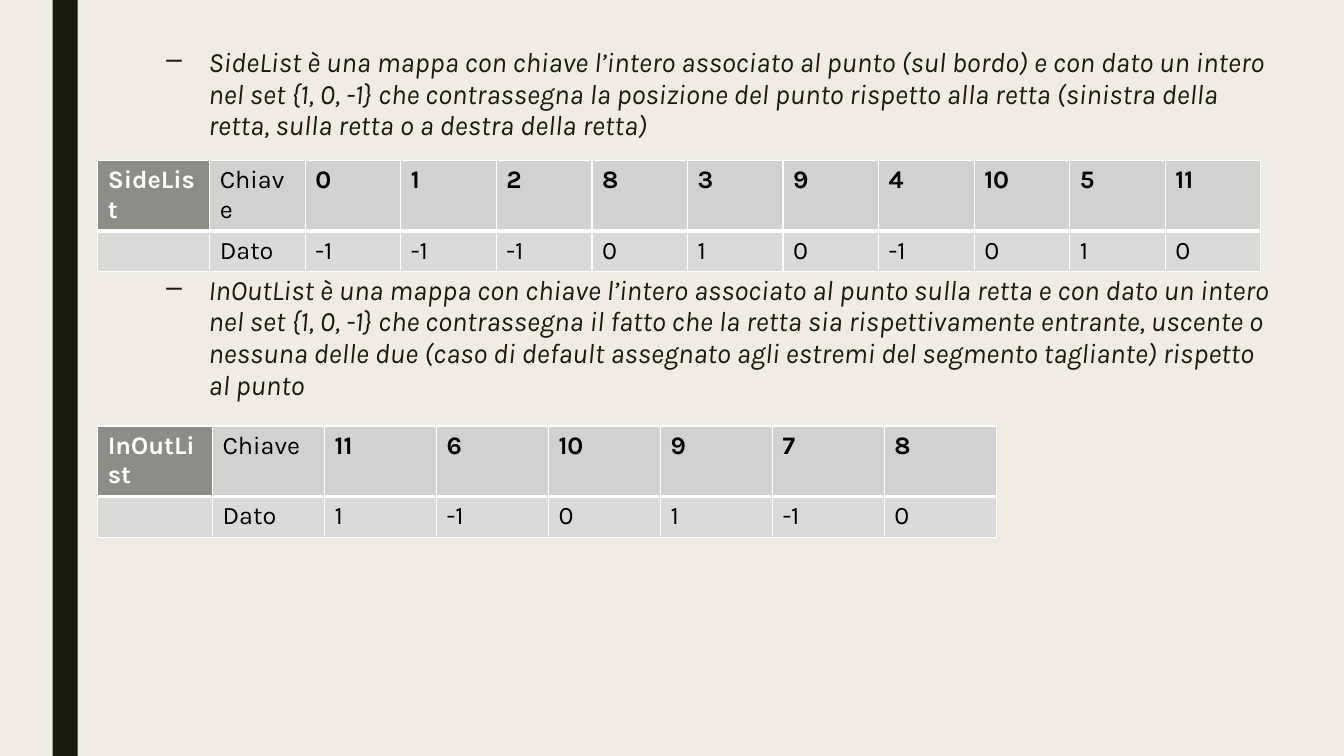
import pptx
import pptx.util
import pptx.dml.color
import pptx.enum.shapes
import pptx.oxml
import pptx.oxml.ns

Pt = pptx.util.Pt
RGB = pptx.dml.color.RGBColor
qn = pptx.oxml.ns.qn

NOTES = [
    ("SideList è una mappa con chiave l’intero associato al punto (sul bordo) e con dato "
     "un intero nel set {1, 0, -1} che contrassegna la posizione del punto rispetto alla "
     "retta (sinistra della retta, sulla retta o a destra della retta)", 5),
    ("InOutList è una mappa con chiave l’intero associato al punto sulla retta e con dato "
     "un intero nel set {1, 0, -1} che contrassegna il fatto che la retta sia rispettivamente "
     "entrante, uscente o nessuna delle due (caso di default assegnato agli estremi del "
     "segmento tagliante) rispetto al punto", 93),
]
TABLES = [
    {"name": "SideList", "top": 114.5, "first": 80, "rest": 68.27,
     "data": [(0, -1), (1, -1), (2, -1), (8, 0), (3, 1), (9, 0), (4, -1), (10, 0), (5, 1), (11, 0)]},
    {"name": "InOutList", "top": 304.3, "first": 82, "rest": 80,
     "data": [(11, 1), (6, -1), (10, 0), (9, 1), (7, -1), (8, 0)]},
]
PAPER = RGB(0xEF, 0xED, 0xE3)
INK = RGB(0x19, 0x1B, 0x0E)
WHITE = RGB(0xFF, 0xFF, 0xFF)
BLACK = RGB(0, 0, 0)
GREY = RGB(0x8C, 0x8D, 0x86)
HEAD = RGB(0xD1, 0xD1, 0xCF)
BODY = RGB(0xDA, 0xDB, 0xD9)
LEFT, ROW = 69.8, 29.2


def style(font, color, **attrs):
    for key, value in {"name": "Karla", **attrs}.items():
        setattr(font, key, value)
    font.color.rgb = color


def edge(cell, sides):
    props = cell._tc.get_or_add_tcPr()
    for spot, (side, width) in enumerate(sides.items()):
        line = pptx.oxml.parse_xml(
            f'<a:ln{side} xmlns:a="http://schemas.openxmlformats.org/drawingml/2006/main" '
            f'w="{Pt(width)}"><a:solidFill><a:srgbClr val="{WHITE}"/></a:solidFill></a:ln{side}>')
        props.insert(spot, line)


def add_notes(slide):
    box = slide.shapes.add_textbox(Pt(LEFT), Pt(30.2), Pt(846.7), Pt(480))
    frame = box.text_frame
    frame.word_wrap = True
    for i, (text, gap) in enumerate(NOTES):
        para = frame.add_paragraph() if i else frame.paragraphs[0]
        run = para.add_run()
        run.text = text
        style(run.font, INK, size=Pt(20), italic=True)
        form = {"line_spacing": 0.94, "space_before": Pt(gap), "space_after": Pt(2)}
        for key, value in form.items():
            setattr(para, key, value)
        props = para._p.get_or_add_pPr()
        props.set("marL", str(Pt(72)))
        props.set("indent", str(Pt(-30)))
        mark = props.makeelement(qn("a:buChar"), {"char": "–"})
        props.append(mark)


def add_map(slide, name, top, first, rest, data):
    keys, values = zip(*data)
    rows = [(name, "Chiave", *keys), ("", "Dato", *values)]
    wides = [first] + [rest] * (len(data) + 1)
    frame = slide.shapes.add_table(2, len(wides), Pt(LEFT), Pt(top), Pt(sum(wides)), Pt(2 * ROW))
    table = frame.table
    for col, wide in zip(table.columns, wides):
        col.width = Pt(wide)
    for r, row in enumerate(rows):
        table.rows[r].height = Pt(ROW)
        for c, value in enumerate(row):
            cell = table.cell(r, c)
            title = r == 0 and c == 0
            cell.fill.solid()
            cell.fill.fore_color.rgb = GREY if title else BODY if r else HEAD
            edge(cell, {"L": 1, "R": 1, "T": 3 if r else 1, "B": 1 if r else 3})
            if value != "":
                run = cell.text_frame.paragraphs[0].add_run()
                run.text = str(value)
                style(run.font, WHITE if title else BLACK, size=Pt(18), bold=r == 0 and c != 1)


def main():
    deck = pptx.Presentation()
    deck.slide_width, deck.slide_height = Pt(960), Pt(540)
    slide = deck.slides.add_slide(deck.slide_layouts[6])
    slide.background.fill.solid()
    slide.background.fill.fore_color.rgb = PAPER
    kind = pptx.enum.shapes.MSO_SHAPE.RECTANGLE
    bar = slide.shapes.add_shape(kind, Pt(37.5), Pt(0), Pt(18), Pt(540))
    bar.shadow.inherit = False
    bar.fill.solid()
    bar.fill.fore_color.rgb = INK
    bar.line.fill.background()
    add_notes(slide)
    for item in TABLES:
        add_map(slide, **item)
    deck.save("out.pptx")


if __name__ == "__main__":
    main()
